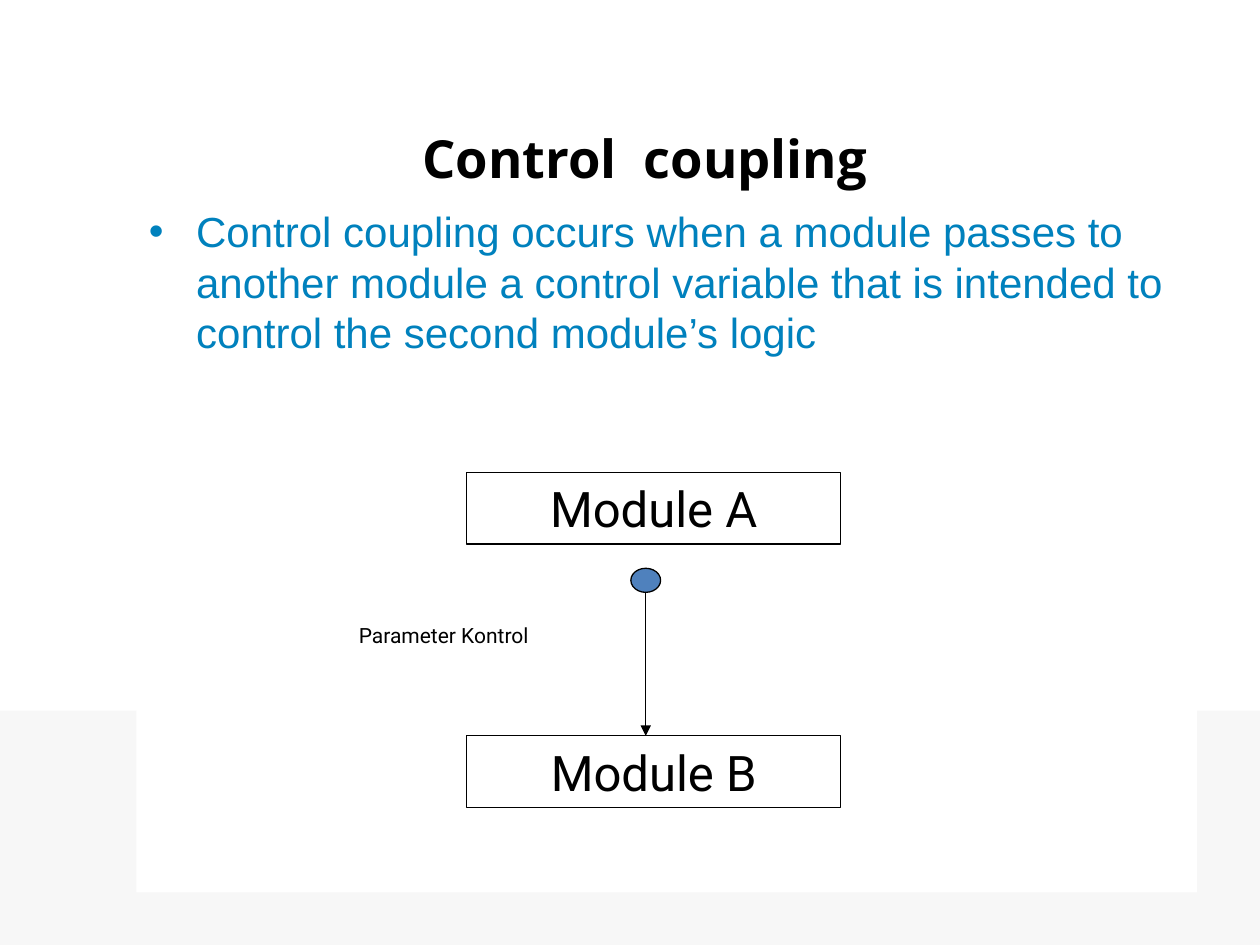
import pptx
import pptx.dml.color
import pptx.enum.shapes
import pptx.enum.text
import pptx.oxml.ns
import pptx.util
from lxml import etree

Pt = pptx.util.Pt
SHAPES = pptx.enum.shapes.MSO_SHAPE
ALIGN = pptx.enum.text.PP_ALIGN
ANCHOR = pptx.enum.text.MSO_ANCHOR
AUTO_SIZE = pptx.enum.text.MSO_AUTO_SIZE

BLACK, WHITE, BAND_GRAY = "000000", "FFFFFF", "F7F7F7"
TEXT_BLUE, CONTROL_BLUE = "0081BD", "4F81BD"

TITLE_FONT = {"name": "Open Sans", "size": Pt(30), "bold": True}
BODY_FONT = {"name": "Arial", "size": Pt(24)}
MODULE_FONT = {"name": "Roboto", "size": Pt(28)}
LABEL_FONT = {"name": "Roboto", "size": Pt(12)}

MODULE_LEFT, MODULE_WIDTH, MODULE_HEIGHT = 266.5, 214, 41
MODULE_A_TOP, MODULE_B_TOP = 270, 420.5
ARROW_X = 369
CONTROL_TOP, CONTROL_WIDTH, CONTROL_HEIGHT = 324.75, 17, 13.75


def rgb(color):
    return pptx.dml.color.RGBColor.from_string(color)


def in_points(*lengths):
    return [Pt(length) for length in lengths]


def add_sub(parent, tag, **attributes):
    return etree.SubElement(parent, pptx.oxml.ns.qn(tag), attributes)


def write_text(shape, text, font, color=BLACK, align=ALIGN.LEFT, anchor=ANCHOR.TOP):
    frame = shape.text_frame
    frame.word_wrap = True
    frame.auto_size = AUTO_SIZE.NONE
    frame.vertical_anchor = anchor
    paragraph = frame.paragraphs[0]
    paragraph.alignment = align
    run = paragraph.add_run()
    run.text = text
    for attribute, value in font.items():
        setattr(run.font, attribute, value)
    run.font.color.rgb = rgb(color)
    return paragraph


def add_bullet(paragraph, color, indent):
    properties = paragraph._p.get_or_add_pPr()
    properties.set("marL", str(Pt(indent)))
    properties.set("indent", str(-Pt(indent)))
    add_sub(add_sub(properties, "a:buClr"), "a:srgbClr", val=color)
    add_sub(properties, "a:buFont", typeface="Arial")
    add_sub(properties, "a:buChar", char="•")


def add_box(slide, kind, bounds, fill=None, line=None):
    box = slide.shapes.add_shape(kind, *in_points(*bounds))
    box.shadow.inherit = False
    if fill:
        box.fill.solid()
        box.fill.fore_color.rgb = rgb(fill)
    else:
        box.fill.background()
    if line:
        box.line.color.rgb = rgb(line)
        box.line.width = Pt(0.75)
    else:
        box.line.fill.background()
    return box


def add_arrow(slide, start, end):
    arrow = slide.shapes.add_connector(
        pptx.enum.shapes.MSO_CONNECTOR.STRAIGHT, *in_points(*start, *end))
    arrow.line.color.rgb = rgb(BLACK)
    arrow.line.width = Pt(0.75)
    add_sub(arrow.line._get_or_add_ln(), "a:tailEnd", type="triangle")
    add_sub(arrow._element.spPr, "a:effectLst")


def add_title(slide):
    title = slide.shapes.title
    title.left, title.top, title.width, title.height = in_points(234, 60, 444, 60)
    write_text(title, "Control  coupling", TITLE_FONT, anchor=ANCHOR.MIDDLE)


def add_definition(slide):
    panel = add_box(slide, SHAPES.RECTANGLE, (78, 114, 606, 396), fill=WHITE)
    definition = write_text(
        panel,
        "Control coupling occurs when a module passes to another module a control "
        "variable that is intended to control the second module’s logic",
        BODY_FONT, TEXT_BLUE)
    add_bullet(definition, TEXT_BLUE, 27)


def add_coupling_diagram(slide):
    for name, top in (("Module A", MODULE_A_TOP), ("Module B", MODULE_B_TOP)):
        module = add_box(slide, SHAPES.RECTANGLE,
                         (MODULE_LEFT, top, MODULE_WIDTH, MODULE_HEIGHT), line=BLACK)
        write_text(module, name, MODULE_FONT, align=ALIGN.CENTER)
    add_arrow(slide, (ARROW_X, CONTROL_TOP + CONTROL_HEIGHT), (ARROW_X, MODULE_B_TOP))
    add_box(slide, SHAPES.OVAL,
            (ARROW_X - CONTROL_WIDTH / 2, CONTROL_TOP, CONTROL_WIDTH, CONTROL_HEIGHT),
            fill=CONTROL_BLUE, line=BLACK)
    label = slide.shapes.add_textbox(*in_points(198, 352, 163, 21.5))
    write_text(label, "Parameter Kontrol", LABEL_FONT)


def main():
    deck = pptx.Presentation()
    deck.slide_width, deck.slide_height = in_points(720, 540)
    slide = deck.slides.add_slide(deck.slide_layouts.get_by_name("Title Only"))
    add_box(slide, SHAPES.RECTANGLE, (0, 406, 720, 134), fill=BAND_GRAY)
    add_title(slide)
    add_definition(slide)
    add_coupling_diagram(slide)
    deck.save("out.pptx")


if __name__ == "__main__":
    main()
